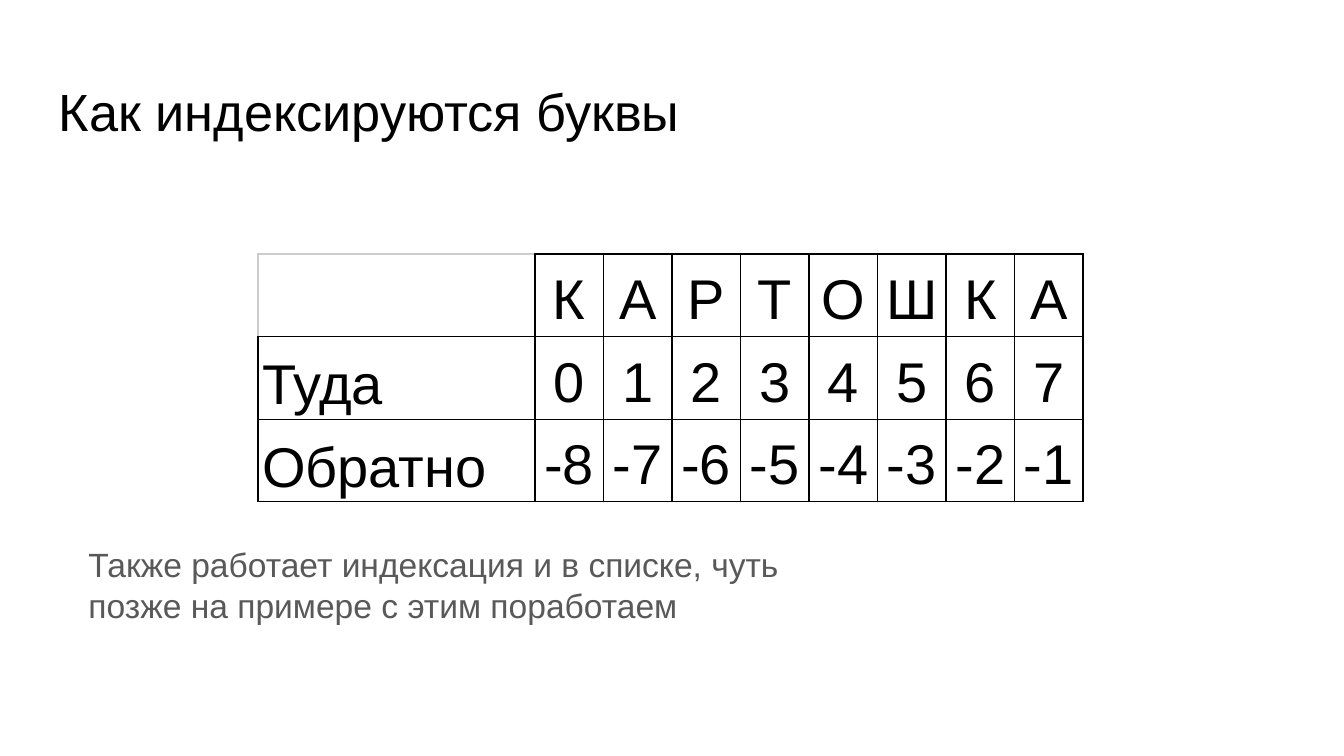
from lxml import etree
from pptx import Presentation
from pptx import util as u
from pptx.dml.color import RGBColor
from pptx.enum import text
from pptx.oxml import ns

COLORS = {"ink": "000000", "note": "595959", "faint": "CCCCCC"}
FONT = "Arial"
WORD = "КАРТОШКА"


def add_run(p, content, size, color):
    r = p.add_run()
    r.text = content
    r.font.name = FONT
    r.font.size = u.Pt(size)
    r.font.color.rgb = RGBColor.from_string(COLORS[color])


def add_text(s, box, content, size, color, space_before=0):
    sp = s.shapes.add_textbox(*map(u.Inches, box))
    tf = sp.text_frame
    tf.word_wrap = True
    tf.margin_left = tf.margin_right = u.Inches(0.1)
    tf.margin_top = tf.margin_bottom = u.Inches(0.1)
    p = tf.paragraphs[0]
    p.space_before = u.Pt(space_before)
    add_run(p, content, size, color)


def set_borders(cell, colors):
    """Draw the left, right, top and bottom borders, in that order."""
    tcPr = cell._tc.get_or_add_tcPr()
    for i, (side, color) in enumerate(zip("LRTB", colors)):
        ln = etree.Element(ns.qn(f"a:ln{side}"), w=str(u.Pt(0.75)))
        fill = etree.SubElement(ln, ns.qn("a:solidFill"))
        etree.SubElement(fill, ns.qn("a:srgbClr"), val=COLORS[color])
        tcPr.insert(i, ln)


def fill_cell(cell, content, is_label):
    cell.fill.background()
    cell.margin_left = cell.margin_right = u.Inches(0.03)
    cell.margin_top = cell.margin_bottom = u.Inches(0.02)
    cell.vertical_anchor = (
        text.MSO_ANCHOR.BOTTOM if is_label else text.MSO_ANCHOR.MIDDLE
    )
    if content:
        p = cell.text_frame.paragraphs[0]
        p.alignment = text.PP_ALIGN.LEFT if is_label else text.PP_ALIGN.CENTER
        p.line_spacing = 1.15
        add_run(p, content, 30, "ink")


def add_index_table(s, left, top, label_width, letter_width, row_height):
    n = len(WORD)
    rows = [
        ["", *WORD],
        ["Туда", *map(str, range(n))],
        ["Обратно", *map(str, range(-n, 0))],
    ]
    widths = [label_width] + [letter_width] * n
    size = (sum(widths), row_height * len(rows))
    frame = s.shapes.add_table(
        len(rows), len(widths), *map(u.Inches, (left, top, *size))
    )
    table = frame.table
    table.first_row = table.horz_banding = False
    for column, width in zip(table.columns, widths):
        column.width = u.Inches(width)
    for i, row in enumerate(rows):
        # Rows grow to fit their text
        table.rows[i].height = u.Inches(row_height)
        for j, content in enumerate(row):
            cell = table.cell(i, j)
            fill_cell(cell, content, is_label=j == 0)
            # The empty corner has faint outer edges
            outer = "ink" if i or j else "faint"
            set_borders(cell, (outer, "ink", outer, "ink"))


def main():
    prs = Presentation()
    prs.slide_width = u.Inches(10)
    prs.slide_height = u.Inches(10 * 9 / 16)
    s = prs.slides.add_slide(prs.slide_layouts[6])

    # Title
    add_text(s, (0.34, 0.49, 9.32, 0.63), "Как индексируются буквы",
             28, "ink")

    # Letters with forward and backward indexes
    add_index_table(s, 1.92, 1.89, 2.06, 0.51, 0.22)

    # Closing note
    add_text(s, (0.56, 3.95, 5.99, 0.81),
             "Также работает индексация и в списке, "
             "чуть позже на примере с этим поработаем",
             18, "note", space_before=16)

    prs.save("out.pptx")


if __name__ == "__main__":
    main()
